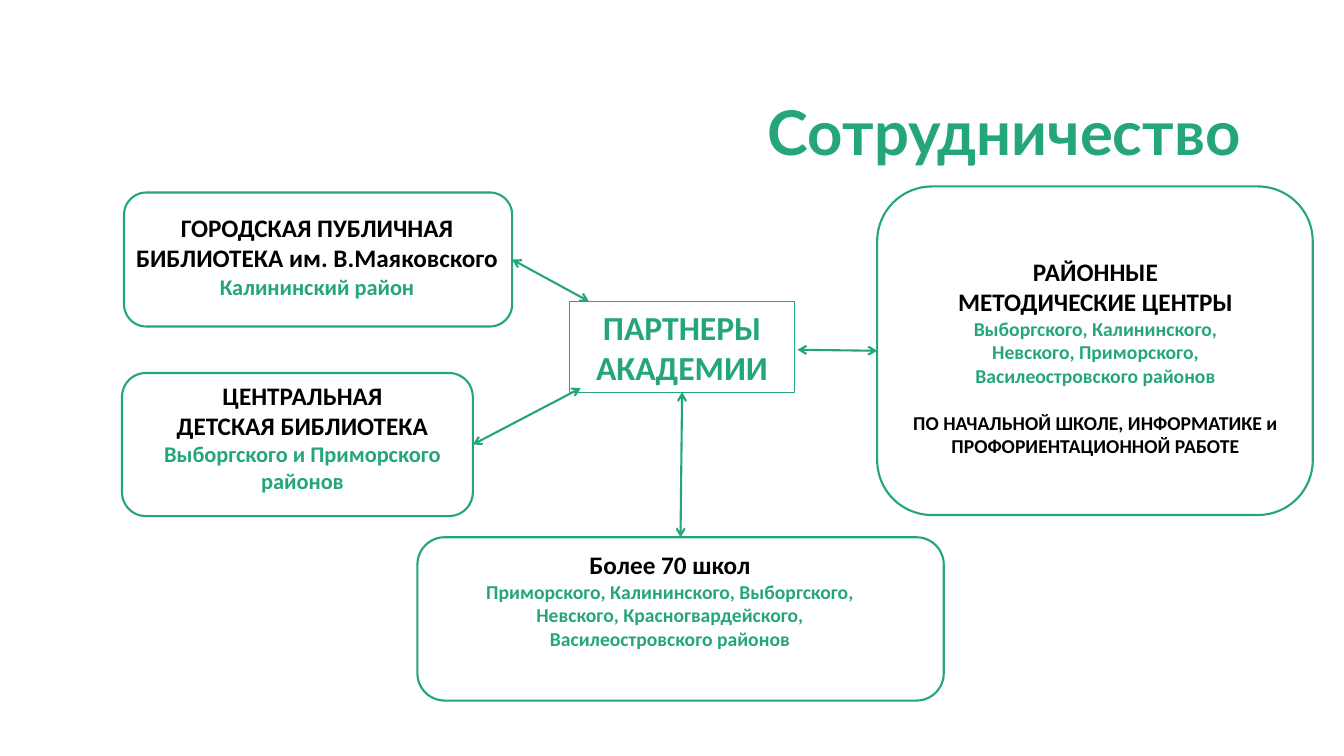
from lxml.etree import SubElement
from pptx import Presentation
from pptx.dml.color import RGBColor
from pptx.enum.shapes import MSO_CONNECTOR, MSO_SHAPE
from pptx.enum.text import MSO_ANCHOR, PP_ALIGN
from pptx.oxml.ns import qn
from pptx.util import Inches, Pt

GREEN = RGBColor(0x24, 0xA6, 0x7A)
BLACK = RGBColor(0, 0, 0)
WHITE = RGBColor(0xFF, 0xFF, 0xFF)
TOP, LEFT, BOTTOM, RIGHT = range(4)


class PartnerSlide:
    """Holds the slide and the shared style of its elements."""

    def __init__(self, slide):
        self.slide = slide

    def fill_text(self, frame, paragraphs, font="Calibri", align=PP_ALIGN.CENTER):
        frame.word_wrap = True
        frame.text = "\n".join(text for text, *_ in paragraphs)
        for paragraph, (_, size, color, *gap) in zip(frame.paragraphs, paragraphs):
            paragraph.alignment = align
            if gap:
                paragraph.space_before = Pt(gap[0])
            for run in paragraph.runs:
                run.font.name = font
                run.font.size = Pt(size)
                run.font.bold = True
                run.font.color.rgb = color

    def title(self, text, bounds):
        heading = self.slide.shapes.title
        heading.left, heading.top, heading.width, heading.height = map(Inches, bounds)
        heading.text_frame.vertical_anchor = MSO_ANCHOR.MIDDLE
        self.fill_text(heading.text_frame, [(text, 44, GREEN)], "Lato", PP_ALIGN.RIGHT)
        heading.text_frame.paragraphs[0].line_spacing = 0.9

    def frame(self, preset, bounds, weight):
        outline = self.slide.shapes.add_shape(preset, *map(Inches, bounds))
        outline.shadow.inherit = False
        outline.line.color.rgb = GREEN
        outline.line.width = Pt(weight)
        return outline

    def hub(self, text, bounds):
        center = self.frame(MSO_SHAPE.RECTANGLE, bounds, 0.75)
        center.fill.background()
        center.text_frame.vertical_anchor = MSO_ANCHOR.MIDDLE
        self.fill_text(center.text_frame, [(text, 24, GREEN)])
        return center

    def partner(self, bounds, text_bounds, paragraphs):
        card = self.frame(MSO_SHAPE.ROUNDED_RECTANGLE, bounds, 1.5)
        card.fill.solid()
        card.fill.fore_color.rgb = WHITE
        caption = self.slide.shapes.add_textbox(*map(Inches, text_bounds))
        self.fill_text(caption.text_frame, paragraphs)
        return card

    def link(self, start, end, card, side):
        arrow = self.slide.shapes.add_connector(
            MSO_CONNECTOR.STRAIGHT, *map(Inches, start + end))
        arrow.end_connect(card, side)
        arrow.line.color.rgb = GREEN
        arrow.line.width = Pt(1.5)
        properties = arrow.element.spPr
        stroke = properties.find(qn("a:ln"))
        for tip in ("a:headEnd", "a:tailEnd"):
            SubElement(stroke, qn(tip), type="arrow")
        SubElement(properties, qn("a:effectLst"))
        return arrow


def main():
    presentation = Presentation()
    presentation.slide_width = Inches(13.33)
    presentation.slide_height = Inches(7.5)
    page = PartnerSlide(presentation.slides.add_slide(presentation.slide_layouts[5]))

    page.title("Сотрудничество", (5.88, 0.85, 6.53, 0.99))
    centers = page.partner((8.7, 1.85, 4.32, 3.26), (8.79, 2.49, 4.15, 2.12), [
        ("РАЙОННЫЕ", 18, BLACK),
        ("МЕТОДИЧЕСКИЕ ЦЕНТРЫ", 18, BLACK),
        ("Выборгского, Калининского,\vНевского, Приморского,\v"
         "Василеостровского районов", 14, GREEN),
        ("ПО НАЧАЛЬНОЙ ШКОЛЕ, ИНФОРМАТИКЕ и ПРОФОРИЕНТАЦИОННОЙ РАБОТЕ",
         14, BLACK, 17),
    ])
    children_library = page.partner((1.21, 3.7, 3.48, 1.42), (1.41, 3.72, 3.18, 1.28), [
        ("ЦЕНТРАЛЬНАЯ", 18, BLACK),
        ("ДЕТСКАЯ БИБЛИОТЕКА", 18, BLACK),
        ("Выборгского и Приморского районов", 16, GREEN),
    ])
    city_library = page.partner((1.23, 1.91, 3.85, 1.33), (1.23, 2.06, 3.83, 1.04), [
        ("ГОРОДСКАЯ ПУБЛИЧНАЯ БИБЛИОТЕКА им. В.Маяковского", 18, BLACK),
        ("Калининский район", 16, GREEN),
    ])
    schools = page.partner((4.14, 5.33, 5.22, 1.62), (4.59, 5.4, 4.11, 1.11), [
        ("Более 70 школ", 18, BLACK),
        ("Приморского, Калининского, Выборгского, Невского, "
         "Красногвардейского, Василеостровского районов", 14, GREEN),
    ])
    academy = page.hub("ПАРТНЕРЫ АКАДЕМИИ", (5.65, 2.99, 2.23, 0.9))

    page.link((7.91, 3.47), (8.7, 3.47), centers, LEFT)
    page.link((5.76, 3.85), (4.69, 4.41), children_library, RIGHT)
    page.link((5.84, 2.99), (5.08, 2.58), city_library, RIGHT)
    schools_link = page.link((6.76, 3.89), (6.75, 5.33), schools, TOP)
    schools_link.begin_connect(academy, BOTTOM)

    presentation.save("out.pptx")


if __name__ == "__main__":
    main()
